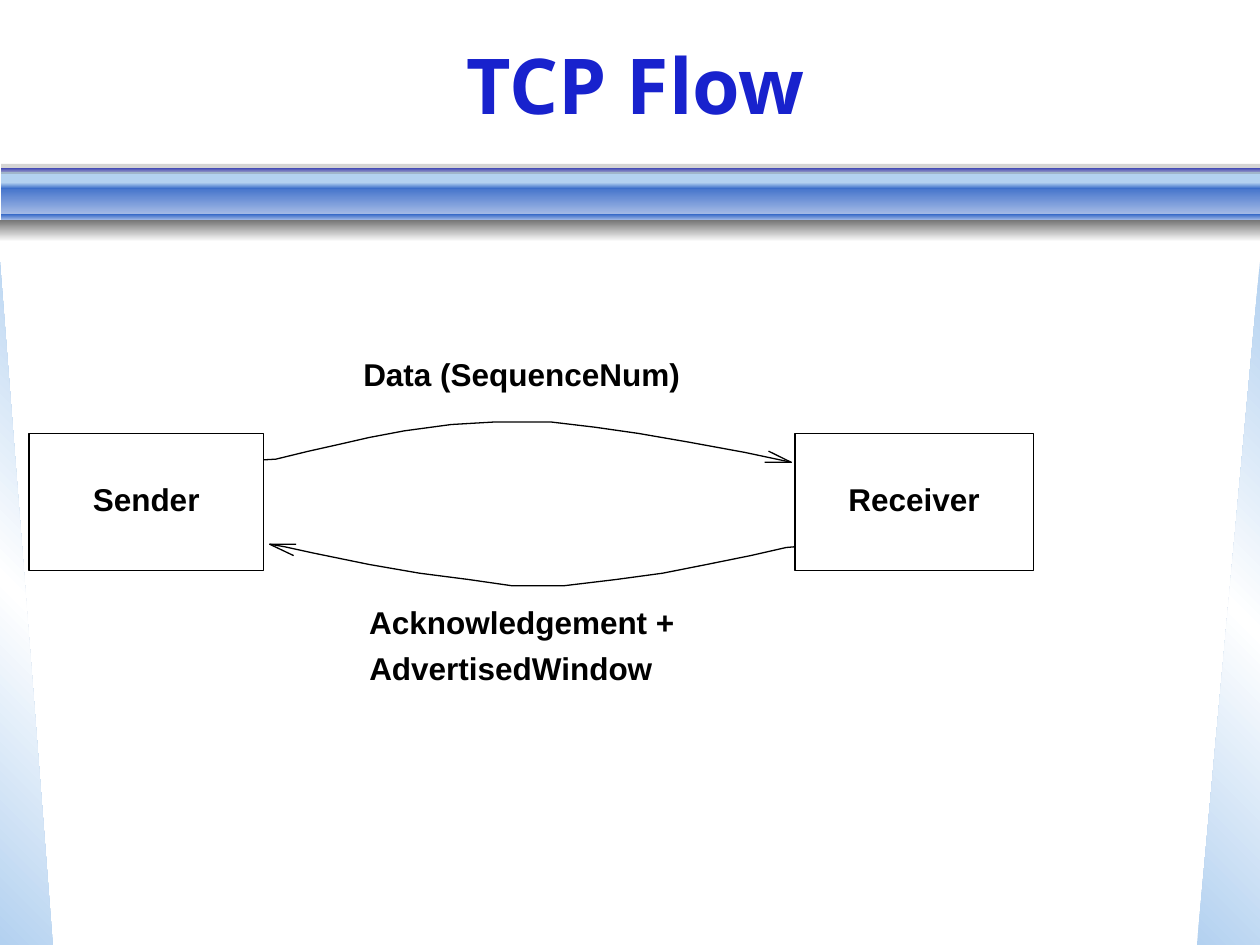
"""Build the TCP Flow slide with a sender, a receiver and the two flows between them."""
from dataclasses import dataclass
from typing import Optional

from lxml.etree import SubElement
from pptx import Presentation
from pptx.dml.color import RGBColor
from pptx.enum.shapes import MSO_SHAPE
from pptx.enum.text import MSO_ANCHOR, MSO_AUTO_SIZE, PP_ALIGN
from pptx.oxml import parse_xml
from pptx.oxml.ns import nsdecls, qn
from pptx.shapes.autoshape import Shape
from pptx.slide import Slide
from pptx.text.text import TextFrame
from pptx.util import Pt

BLACK = RGBColor(0x00, 0x00, 0x00)
WHITE = RGBColor(0xFF, 0xFF, 0xFF)
GREY = RGBColor(0x77, 0x77, 0x77)
TITLE_BLUE = RGBColor(0x18, 0x22, 0xCD)
VIOLET = RGBColor(0x87, 0x8D, 0xE5)
PALE_BLUE = RGBColor(0xB3, 0xD1, 0xF0)
MID_BLUE = RGBColor(0x35, 0x68, 0xC7)
SOFT_BLUE = RGBColor(0xA9, 0xBE, 0xE7)

Point = tuple[float, float]


@dataclass
class Decoration:
    left: float
    top: float
    width: float
    height: float
    colors: tuple[RGBColor, ...]
    angle: int = 90
    kind: MSO_SHAPE = MSO_SHAPE.RECTANGLE
    flipped: bool = False
    opacity: Optional[int] = None


@dataclass
class Host:
    name: str
    left: float
    width: float


@dataclass
class Label:
    text: str
    left: float
    top: float
    width: float


SIDE_COLORS = (PALE_BLUE, WHITE, PALE_BLUE)
DECORATIONS = [
    Decoration(0, 149.8, 30.2, 390.2, SIDE_COLORS, 135, MSO_SHAPE.RIGHT_TRIANGLE),
    Decoration(684, 149.8, 36, 390.2, SIDE_COLORS, 225, MSO_SHAPE.RIGHT_TRIANGLE, True),
    Decoration(0.7, 97.9, 719.3, 7.2, (PALE_BLUE,)),
    Decoration(0.7, 105.1, 719.3, 18, (MID_BLUE, SOFT_BLUE)),
    Decoration(0.7, 95.8, 719.3, 2.2, (TITLE_BLUE, VIOLET)),
    Decoration(0.7, 122.4, 719.3, 3.6, (MID_BLUE, SOFT_BLUE)),
    Decoration(0.7, 104.4, 719.3, 3.6, (PALE_BLUE, MID_BLUE)),
    Decoration(0, 126, 720, 12.2, (GREY, WHITE)),
    Decoration(0.7, 93.6, 719.3, 5.8, (GREY,), opacity=31),
]
HOSTS = [Host("Sender", 16.6, 133.9), Host("Receiver", 454.3, 136.1)]
LABELS = [
    Label("Data (SequenceNum)", 207.6, 202.8, 186),
    Label("Acknowledgement +", 211, 344.7, 180),
    Label("AdvertisedWindow", 211, 370.8, 168),
]
DATA_CURVE = [
    (150.5, 262.8), (157.7, 262.4), (175.7, 258), (194.4, 253.8), (211, 250),
    (231.1, 246.2), (257.8, 242.6), (281.5, 241.2), (315.4, 241.2), (339.8, 244.1),
    (365, 247.7), (393.8, 252.7), (425.5, 258.5), (445.7, 262.8), (452.2, 264.2),
]
DATA_ARROWHEAD = [(439.2, 257.8), (452.2, 264.2), (437, 264.2)]
REPLY_CURVE = [
    (454.3, 312.5), (449.3, 312.9), (429.1, 317.5), (403.9, 322.6), (378.7, 327.6),
    (352.1, 331.2), (321.8, 334.8), (293, 334.8), (267.8, 331.2), (239.8, 327.6),
    (211, 322.6), (179.3, 316.1), (162.7, 312.5), (154.1, 311),
]
REPLY_ARROWHEAD = [(167.8, 317.5), (154.1, 311), (169.2, 311)]


def apply_gradient(shape: Shape, colors: tuple[RGBColor, ...], angle: int) -> None:
    """Fill the shape with evenly spaced colours at a clockwise angle."""
    step = 100000 // (len(colors) - 1)
    stops = "".join(
        f'<a:gs pos="{index * step}"><a:srgbClr val="{color}"/></a:gs>'
        for index, color in enumerate(colors)
    )
    gradient = parse_xml(
        f'<a:gradFill {nsdecls("a")} rotWithShape="1"><a:gsLst>{stops}</a:gsLst>'
        f'<a:lin ang="{angle * 60000}" scaled="0"/></a:gradFill>'
    )
    shape.element.spPr.find(qn("a:prstGeom")).addnext(gradient)


def draw_decoration(slide: Slide, item: Decoration) -> None:
    """Draw one borderless background part."""
    shape = slide.shapes.add_shape(
        item.kind, Pt(item.left), Pt(item.top), Pt(item.width), Pt(item.height)
    )
    shape.shadow.inherit = False
    shape.line.fill.background()
    if len(item.colors) > 1:
        apply_gradient(shape, item.colors, item.angle)
    else:
        shape.fill.solid()
        shape.fill.fore_color.rgb = item.colors[0]
    if item.opacity is not None:
        color = shape.element.spPr.find(qn("a:solidFill"))[0]
        SubElement(color, qn("a:alpha")).set("val", str(item.opacity * 1000))
    if item.flipped:
        shape.element.spPr.find(qn("a:xfrm")).set("flipH", "1")


def write_text(
    frame: TextFrame, text: str, size: int = 18, font_name: str = "Arial",
    color: RGBColor = BLACK, alignment: PP_ALIGN = PP_ALIGN.CENTER,
) -> None:
    """Write one bold paragraph."""
    frame.text = text
    paragraph = frame.paragraphs[0]
    paragraph.alignment = alignment
    font = paragraph.runs[0].font
    font.size = Pt(size)
    font.name = font_name
    font.bold = True
    font.color.rgb = color


def outline(shape: Shape) -> None:
    """Leave the shape unfilled with a black hairline."""
    shape.shadow.inherit = False
    shape.fill.background()
    shape.line.color.rgb = BLACK
    shape.line.width = Pt(0)


def draw_host(slide: Slide, host: Host) -> None:
    """Draw a named box."""
    box = slide.shapes.add_shape(
        MSO_SHAPE.RECTANGLE, Pt(host.left), Pt(247.7), Pt(host.width), Pt(78.5)
    )
    outline(box)
    box.text_frame.vertical_anchor = MSO_ANCHOR.MIDDLE
    box.text_frame.margin_bottom = Pt(7)
    write_text(box.text_frame, host.name)


def draw_polyline(slide: Slide, points: list[Point]) -> None:
    """Draw an open hairline through the points."""
    start, *others = [(Pt(x), Pt(y)) for x, y in points]
    builder = slide.shapes.build_freeform(*start)
    builder.add_line_segments(others, close=False)
    outline(builder.convert_to_shape())


def draw_label(slide: Slide, label: Label) -> None:
    """Draw a flow label without margins."""
    box = slide.shapes.add_textbox(
        Pt(label.left), Pt(label.top), Pt(label.width), Pt(21.6)
    )
    frame = box.text_frame
    frame.word_wrap = True
    frame.auto_size = MSO_AUTO_SIZE.SHAPE_TO_FIT_TEXT
    frame.margin_left = frame.margin_right = frame.margin_top = frame.margin_bottom = 0
    write_text(frame, label.text, alignment=PP_ALIGN.LEFT)


def main() -> None:
    """Build and save the presentation."""
    presentation = Presentation()
    presentation.slide_width, presentation.slide_height = Pt(720), Pt(540)
    slide = presentation.slides.add_slide(presentation.slide_layouts[5])
    for item in DECORATIONS:
        draw_decoration(slide, item)
    title = slide.shapes.title
    title.left, title.top, title.width, title.height = Pt(12.2), Pt(5.8), Pt(702), Pt(84.2)
    title.text_frame.vertical_anchor = MSO_ANCHOR.MIDDLE
    write_text(title.text_frame, "TCP Flow", 44, "Noto Sans", TITLE_BLUE)
    for host in HOSTS:
        draw_host(slide, host)
    for points in (DATA_CURVE, DATA_ARROWHEAD, REPLY_CURVE, REPLY_ARROWHEAD):
        draw_polyline(slide, points)
    for label in LABELS:
        draw_label(slide, label)
    presentation.save("out.pptx")


if __name__ == "__main__":
    main()
